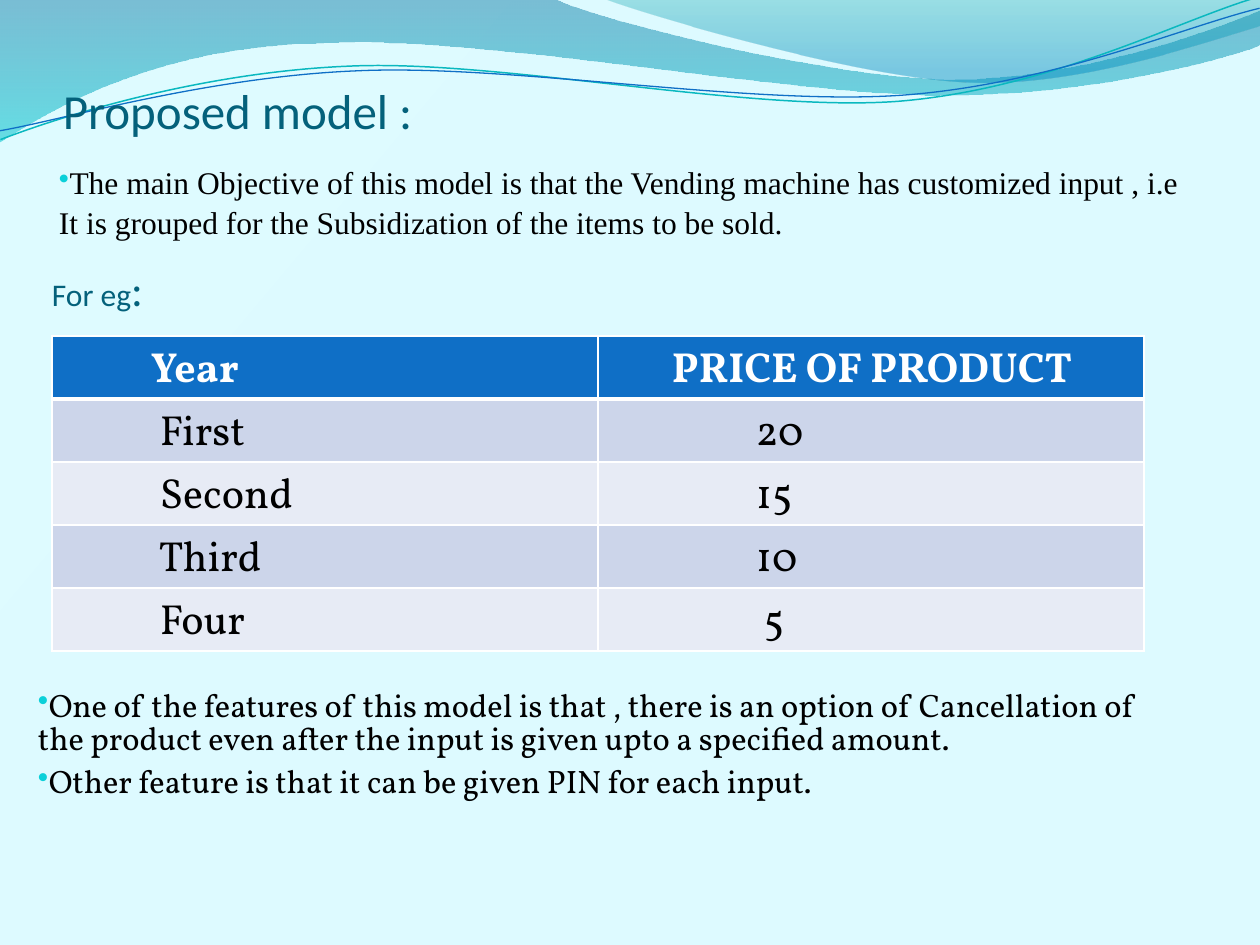
from dataclasses import dataclass

from lxml.etree import SubElement
from pptx import Presentation
from pptx.dml.color import RGBColor
from pptx.enum.text import MSO_ANCHOR
from pptx.oxml.ns import qn
from pptx.util import Inches, Pt

EMU_PER_PX = 914400 / 126
BOTTOM, MIDDLE, TOP = MSO_ANCHOR.BOTTOM, MSO_ANCHOR.MIDDLE, MSO_ANCHOR.TOP
CELL_MARGIN = Inches(0.05)
BLACK, WHITE, TEAL, BLUE, CYAN = "000000", "FFFFFF", "04617B", "0F6FC6", "0BD0D9"
ROW_FILLS = ("CCD5EA", "E7EBF5")


@dataclass
class Wave:
    """Each segment holds one point for a line or three for a Bezier curve."""
    start: tuple
    segments: list
    stops: tuple = ()
    line: str = ""
    width: float = 0
    rotation: float = 0


@dataclass
class Span:
    text: str
    size: float
    font: str
    color: str = BLACK
    bold: bool = False


@dataclass
class TextBlock:
    frame: tuple
    paragraphs: list
    anchor: MSO_ANCHOR = BOTTOM
    margins: tuple = (0, 6, 0, 0)
    bulleted: bool = False
    line_spacing: float = 1.0


@dataclass
class Entry:
    text: str
    indent: int


WAVES = [
    Wave((-1, -1), [
        [(554, -1)],
        [(600, 21), (837, 79), (955, 79)],
        [(1074, 79), (1207, 33), (1260, 11)],
        [(1261, 45)],
        [(1239, 55), (1096, 96), (940, 95)],
        [(784, 95), (481, 35), (324, 43)],
        [(163, 45), (58, 105), (-1, 142)],
    ], stops=((0, "0074A1", 45), (100, "00C6CF", 55))),
    Wave((604, -1), [
        [(641, 14), (859, 78), (969, 82)],
        [(1079, 87), (1211, 40), (1260, 26)],
        [(1260, 0)],
    ], stops=((0, "00A1A9", 30), (80, "008BBF", 45))),
    Wave((-2, 110), [
        [(58, 90), (200, 52), (350, 53)],
        [(499, 53), (745, 118), (896, 114)],
        [(1049, 109), (1184, 45), (1260, 27)],
    ], line="0AB8BF", width=0.85, rotation=357.3),
    Wave((-2, 101), [
        [(57, 94), (207, 57), (357, 58)],
        [(509, 58), (750, 112), (902, 108)],
        [(1052, 104), (1188, 52), (1262, 38)],
    ], line=BLUE, width=0.75, rotation=357.3),
]

BLOCKS = [
    TextBlock((52, 262, 189, 53), [[Span("For eg", 18, "Calibri", TEAL),
                                    Span(":", 25.2, "Calibri", TEAL)]]),
    TextBlock((53, 179, 1155, 94), [[Span(
        "The main Objective of this model is that the Vending machine has customized "
        "input , i.e It is grouped for the Subsidization of the items to be sold.",
        18, "Times New Roman")]], MIDDLE, (6, 0, 6, 50), True, 1.05),
    TextBlock((63, 63, 388, 76), [[Span("Proposed model :", 28, "Calibri", TEAL)]]),
    TextBlock((32, 683, 1134, 195), [
        [Span("One of the features of this model is that , there is an option of Cancellation "
              "of the product even after the input is given upto a specified amount.",
              18.5, "Vollkorn")],
        [Span("Other feature is that it can be given PIN for each input.", 18.5, "Vollkorn")],
    ], TOP, (6, 7, 6, 0), True, 0.87),
]

PRICES = [
    (Entry("Year", 99), Entry("PRICE OF PRODUCT", 74)),
    (Entry("First", 108), Entry("20", 158)),
    (Entry("Second", 108), Entry("15", 158)),
    (Entry("Third", 107), Entry("10", 158)),
    (Entry("Four", 108), Entry("5", 166)),
]


def px(value: int) -> int:
    return round(value * EMU_PER_PX)


def rgb(color: str) -> RGBColor:
    return RGBColor.from_string(color)


def set_gradient(fill, owner, stops: tuple, angle: int) -> None:
    """Fill with (position, colour, opacity) stops; angle runs clockwise."""
    fill.gradient()
    fill.gradient_angle = 360 - angle
    stop_list = next(owner.iter(qn("a:gsLst")))
    for old_stop in list(stop_list):
        stop_list.remove(old_stop)
    for position, color, opacity in stops:
        stop = SubElement(stop_list, qn("a:gs"), pos=str(position * 1000))
        tint = SubElement(stop, qn("a:srgbClr"), val=color)
        SubElement(tint, qn("a:alpha"), val=str(opacity * 1000))


def bend_segments(shape, segments: list) -> None:
    """Turn each run of three line segments into one Bezier curve."""
    lines = iter(list(shape.element.iter(qn("a:lnTo"))))
    for segment in segments:
        first, *others = [next(lines) for _ in segment]
        if others:
            first.tag = qn("a:cubicBezTo")
            for line in others:
                first.append(line[0])
                line.getparent().remove(line)


def draw_wave(slide, wave: Wave) -> None:
    points = [point for segment in wave.segments for point in segment]
    builder = slide.shapes.build_freeform(*map(px, wave.start))
    builder.add_line_segments([(px(x), px(y)) for x, y in points], close=bool(wave.stops))
    shape = builder.convert_to_shape()
    # SubElement keeps the schema-neutral tags, so curves are nested per segment.
    geometry = next(shape.element.iter(qn("a:pathLst")))[0]
    lines = [node for node in geometry if node.tag == qn("a:lnTo")]
    for segment in wave.segments:
        used, lines = lines[:len(segment)], lines[len(segment):]
        if len(used) == 3:
            curve = geometry.makeelement(qn("a:cubicBezTo"), {})
            used[0].addprevious(curve)
            for line in used:
                curve.append(line[0])
                geometry.remove(line)
    shape.rotation = wave.rotation
    shape.shadow.inherit = False
    if wave.stops:
        set_gradient(shape.fill, shape.element, wave.stops, 90)
        shape.line.fill.background()
    else:
        shape.fill.background()
        shape.line.color.rgb = rgb(wave.line)
        shape.line.width = Pt(wave.width)


def add_span(para, span: Span) -> None:
    run = para.add_run()
    run.text = span.text
    run.font.size = Pt(span.size)
    run.font.name = span.font
    run.font.bold = span.bold
    run.font.color.rgb = rgb(span.color)


def add_bullet(para) -> None:
    properties = para._p.get_or_add_pPr()
    SubElement(SubElement(properties, qn("a:buClr")), qn("a:srgbClr"), val=CYAN)
    SubElement(properties, qn("a:buSzPct"), val="95000")
    SubElement(properties, qn("a:buChar"), char="•")


def draw_text(slide, block: TextBlock) -> None:
    frame = slide.shapes.add_textbox(*map(px, block.frame)).text_frame
    frame.word_wrap = True
    frame.vertical_anchor = block.anchor
    (frame.margin_left, frame.margin_top,
     frame.margin_right, frame.margin_bottom) = map(px, block.margins)
    for index, spans in enumerate(block.paragraphs):
        para = frame.add_paragraph() if index else frame.paragraphs[0]
        para.line_spacing = block.line_spacing
        if index:
            para.space_before = Pt(5)
        if block.bulleted:
            add_bullet(para)
        for span in spans:
            add_span(para, span)


def set_borders(cell, sides: dict) -> None:
    properties = cell._tc.get_or_add_tcPr()
    for index, (side, points) in enumerate(sides.items()):
        border = properties.makeelement(qn(f"a:{side}"), {"w": str(Pt(points))})
        SubElement(SubElement(border, qn("a:solidFill")), qn("a:srgbClr"), val=WHITE)
        properties.insert(index, border)


def draw_table(slide) -> None:
    table = slide.shapes.add_table(len(PRICES), 2, px(52), px(336), px(1092), px(315)).table
    for row, entries in enumerate(PRICES):
        header = row == 0
        for column, entry in enumerate(entries):
            cell = table.cell(row, column)
            cell.margin_left = px(entry.indent)
            cell.margin_top = cell.margin_right = cell.margin_bottom = CELL_MARGIN
            cell.fill.solid()
            cell.fill.fore_color.rgb = rgb(BLUE if header else ROW_FILLS[(row - 1) % 2])
            color = WHITE if header else BLACK
            add_span(cell.text_frame.paragraphs[0],
                     Span(entry.text, 24, "Vollkorn", color, header))
            set_borders(cell, {"lnL": 1, "lnR": 1, "lnT": 3 if row == 1 else 1,
                               "lnB": 3 if header else 1})


def main() -> None:
    deck = Presentation()
    deck.slide_width, deck.slide_height = px(1260), px(945)
    slide = deck.slides.add_slide(deck.slide_layouts[6])
    set_gradient(slide.background.fill, slide.element,
                 ((0, "DEFBFF", 100), (25, "DDFAFF", 100), (100, "DEFBFF", 100)), 40)
    for wave in WAVES:
        draw_wave(slide, wave)
    for block in BLOCKS:
        draw_text(slide, block)
    draw_table(slide)
    deck.save("out.pptx")


if __name__ == "__main__":
    main()
